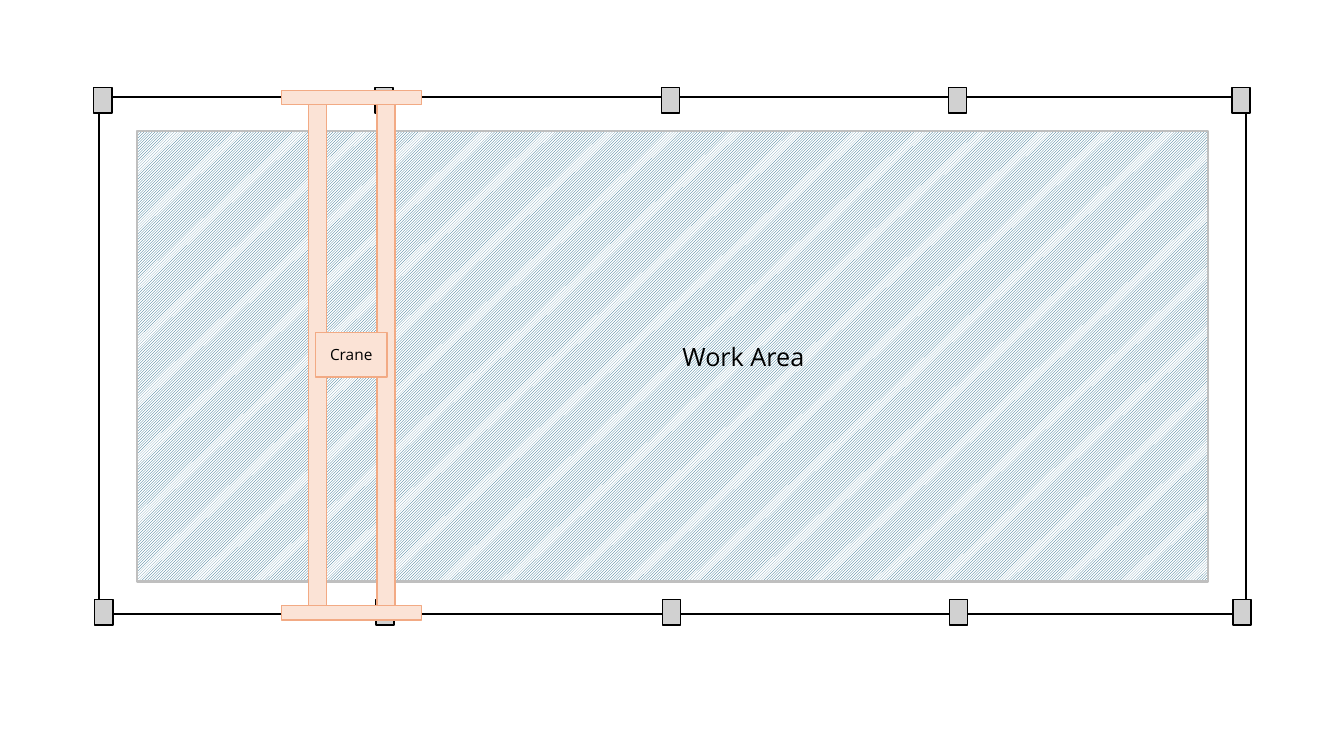
"""Draw a plan of a work area with columns and a crane."""
import pptx
import pptx.util
import pptx.dml.color
import pptx.enum.dml
import pptx.enum.shapes
import pptx.enum.text

COLORS = {
    "black": "000000", "white": "FFFFFF", "post": "D1D1D1", "hatch": "156082",
    "edge": "BFBFBF", "crane": "FBE3D6", "rim": "F2AA84",
}
FONT = "Open Sans"
COLS, ROWS = 133.33, 75

HALL = (9.8, 9.6, 113.8, 51.3)
AREA = (13.6, 13, 106.2, 44.7)
POST = (1.8, 2.5)
POST_COLS = (9.3, 37.2, 65.6, 94.1, 122.2)
POST_ROWS = ((8.7, 0), (59.5, 0.1))
BEAM = (1.8, 51.3)
BEAM_COLS = (30.6, 37.4)
RAIL = (13.9, 1.4)
RAIL_ROWS = (9, 60.1)
CAB = (31.3, 33, 7.1, 4.4)
AREA_TEXT, AREA_SIZE, AREA_INSET = "Work Area", 18, 54.1
CAB_TEXT, CAB_SIZE = "Crane", 11

deck = pptx.Presentation()
deck.slide_width = pptx.util.Inches(13.33)
deck.slide_height = pptx.util.Inches(7.5)
CELL_W, CELL_H = deck.slide_width / COLS, deck.slide_height / ROWS
slide = deck.slides.add_slide(deck.slide_layouts[6])


def rgb(name):
    return pptx.dml.color.RGBColor.from_string(COLORS[name])


def add_box(home, box, fill, line, width):
    left, top, wide, high = box
    shape = home.shapes.add_shape(
        pptx.enum.shapes.MSO_SHAPE.RECTANGLE,
        round(left * CELL_W), round(top * CELL_H),
        round(wide * CELL_W), round(high * CELL_H))
    shape.shadow.inherit = False
    if fill:
        shape.fill.solid()
        shape.fill.fore_color.rgb = rgb(fill)
    else:
        shape.fill.background()
    shape.line.color.rgb = rgb(line)
    shape.line.width = pptx.util.Pt(width)
    return shape


def add_label(shape, text, size, align):
    frame = shape.text_frame
    frame.text = text
    frame.word_wrap = True
    frame.vertical_anchor = pptx.enum.text.MSO_ANCHOR.MIDDLE
    line = frame.paragraphs[0]
    line.alignment = align
    font = line.runs[0].font
    font.name, font.size = FONT, pptx.util.Pt(size)
    font.color.rgb = rgb("black")


hall = slide.shapes.add_group_shape()
add_box(hall, HALL, None, "black", 1.5)
for top, shift in POST_ROWS:
    for left in POST_COLS:
        add_box(hall, (left + shift, top, *POST), "post", "black", 1)

area = add_box(slide, AREA, None, "edge", 1.5)
area.fill.patterned()
area.fill.pattern = pptx.enum.dml.MSO_PATTERN.LIGHT_UPWARD_DIAGONAL
area.fill.fore_color.rgb = rgb("hatch")
area.fill.back_color.rgb = rgb("white")
add_label(area, AREA_TEXT, AREA_SIZE, pptx.enum.text.PP_ALIGN.LEFT)
area.text_frame.margin_left = round(AREA_INSET * CELL_W)

crane = slide.shapes.add_group_shape()
mid = (BEAM_COLS[0] + BEAM_COLS[1] + BEAM[0]) / 2
beams = [(left, HALL[1], *BEAM) for left in BEAM_COLS]
rails = [(mid - RAIL[0] / 2, top, *RAIL) for top in RAIL_ROWS]
for box in beams + rails:
    add_box(crane, box, "crane", "rim", 1)
cab = add_box(crane, CAB, "crane", "rim", 1)
add_label(cab, CAB_TEXT, CAB_SIZE, pptx.enum.text.PP_ALIGN.CENTER)

deck.save("out.pptx")
